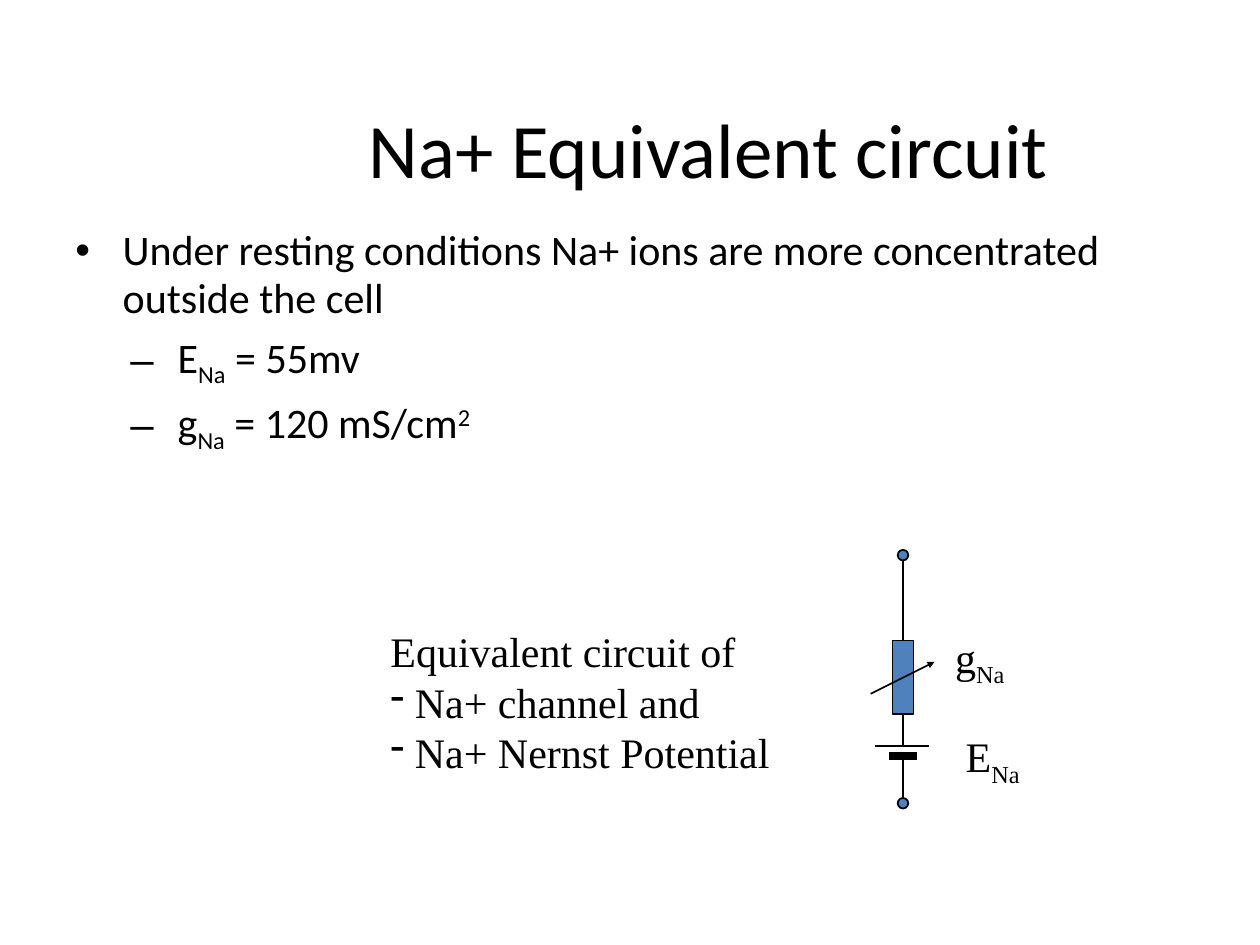
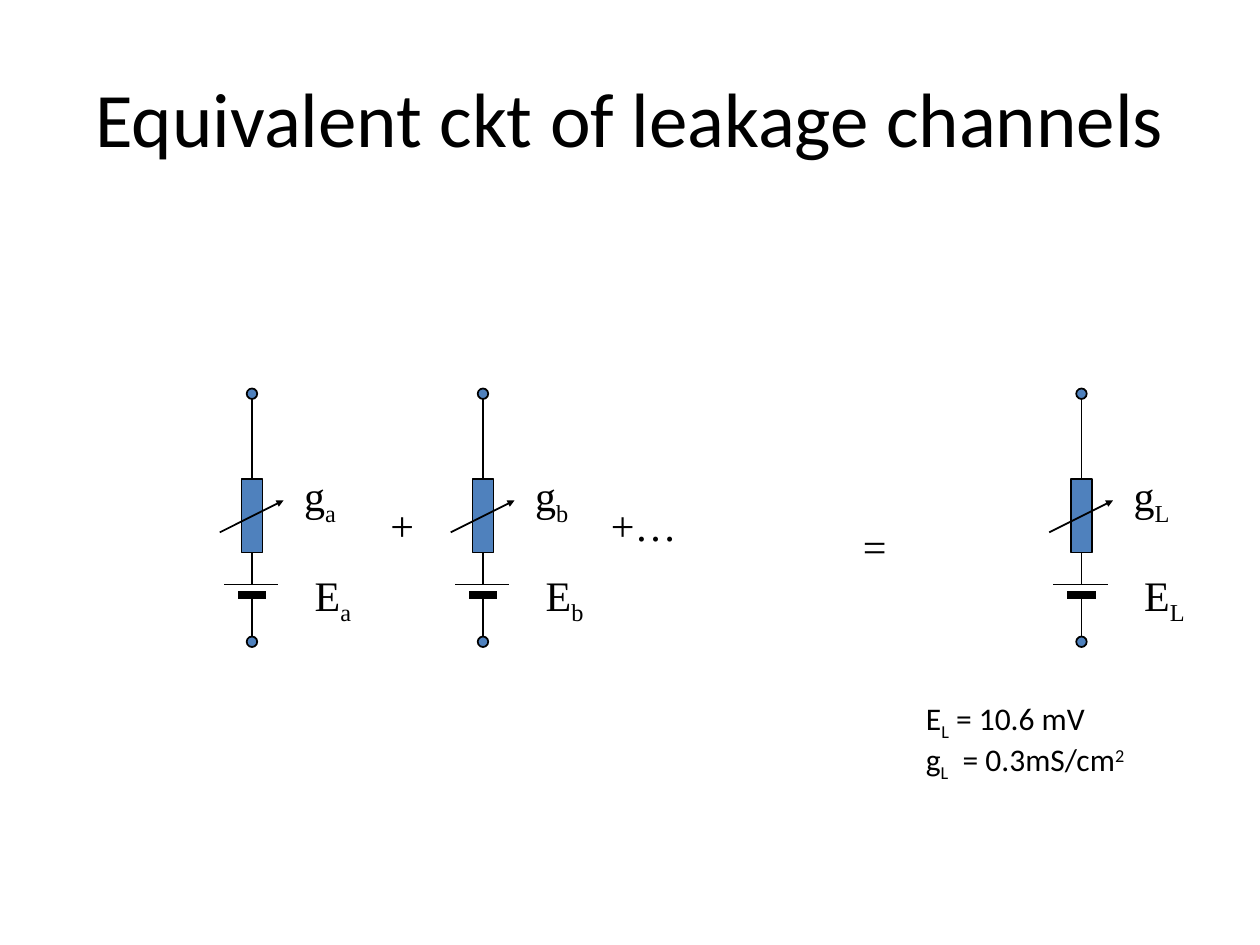
import lxml.etree
import pptx
import pptx.dml.color
import pptx.enum.shapes
import pptx.enum.text
import pptx.oxml.ns
import pptx.util

Pt = pptx.util.Pt
qn = pptx.oxml.ns.qn
color = pptx.dml.color.RGBColor.from_string
SubElement = lxml.etree.SubElement
Shape = pptx.enum.shapes.MSO_SHAPE
Align = pptx.enum.text.PP_ALIGN
Anchor = pptx.enum.text.MSO_ANCHOR
AutoSize = pptx.enum.text.MSO_AUTO_SIZE

BLACK = "000000"
BLUE = "4F81BD"
SANS = "Calibri"
SERIF = "Times New Roman"
SUB, SUPER = -25000, 30000


def write(shape, lines, size, font=SERIF, wrap=False, align=Align.LEFT, anchor=Anchor.TOP):
    frame = shape.text_frame
    frame.word_wrap = wrap
    frame.auto_size = AutoSize.NONE if wrap else AutoSize.SHAPE_TO_FIT_TEXT
    frame.vertical_anchor = anchor
    for index, pieces in enumerate(lines):
        paragraph = frame.add_paragraph() if index else frame.paragraphs[0]
        paragraph.alignment = align
        for text, baseline in pieces:
            run = paragraph.add_run()
            run.text = text
            run.font.size = Pt(size)
            run.font.name = font
            run.font.color.rgb = color(BLACK)
            if baseline:
                run._r.get_or_add_rPr().set("baseline", str(baseline))
    return frame.paragraphs


def add_circuit(slide, x, y, channel, label_width):
    shapes = slide.shapes.add_group_shape().shapes
    for kind, left, top, width, height in (
        (Shape.RECTANGLE, -6, 47.75, 12, 42),
        (Shape.OVAL, -3, -4, 6, 6),
        (Shape.OVAL, -3, 137.75, 6, 6),
    ):
        part = shapes.add_shape(kind, Pt(x + left), Pt(y + top), Pt(width), Pt(height))
        part.shadow.inherit = False
        part.fill.solid()
        part.fill.fore_color.rgb = color(BLUE)
        part.line.color.rgb = color(BLACK)
        part.line.width = Pt(1)

    for x1, y1, x2, y2, width, has_arrow in (
        (0, 2.5, 0, 47.5, 1, False),
        (-18, 78, 18, 60, 1, True),
        (0, 90, 0, 108, 1, False),
        (-15.5, 108, 14.5, 108, 1, False),
        (-6, 114, 6, 114, 4.5, False),
        (0, 115.5, 0, 137.25, 1, False),
    ):
        connector = shapes.add_connector(
            pptx.enum.shapes.MSO_CONNECTOR.STRAIGHT,
            Pt(x + x1), Pt(y + y1), Pt(x + x2), Pt(y + y2),
        )
        connector.line.color.rgb = color(BLACK)
        connector.line.width = Pt(width)
        properties = connector._element.spPr
        outline = properties.find(qn("a:ln"))
        outline.set("cap", "sq")
        if has_arrow:
            SubElement(outline, qn("a:tailEnd"), type="triangle", w="sm", len="sm")
        SubElement(properties, qn("a:effectLst"))

    for symbol, left, top, width in (
        ("E", 28.75, 95.75, label_width),
        ("g", 22.75, 39, label_width - 2.25),
    ):
        label = shapes.add_textbox(Pt(x + left), Pt(y + top), Pt(width), Pt(36))
        write(label, [[(symbol, 0), (channel, SUB)]], 24)


presentation = pptx.Presentation()
presentation.slide_width = Pt(720)
presentation.slide_height = Pt(540)

slides = []
for title, left, top, width in (
    ("Na+ Equivalent circuit", 108, 42, 594),
    ("Equivalent ckt of leakage channels", 36, 21.6, 648),
):
    slide = presentation.slides.add_slide(presentation.slide_layouts[6])
    title_box = slide.shapes.add_textbox(Pt(left), Pt(top), Pt(width), Pt(90))
    write(title_box, [[(title, 0)]], 44, SANS, True, Align.CENTER, Anchor.MIDDLE)
    slides.append(slide)
sodium_slide, leakage_slide = slides
sodium_slide.shapes[0].text_frame.paragraphs[0].line_spacing = 0.95

add_circuit(sodium_slide, 516, 318.25, "Na", 47.5)

caption = sodium_slide.shapes.add_textbox(Pt(216), Pt(354), Pt(231), Pt(93.6))
caption_paragraphs = write(
    caption,
    [[("Equivalent circuit of", 0)], [(" Na+ channel and", 0)], [(" Na+ Nernst Potential", 0)]],
    24,
)
for paragraph in caption_paragraphs[1:]:
    properties = paragraph._p.get_or_add_pPr()
    SubElement(properties, qn("a:buFontTx"))
    SubElement(properties, qn("a:buChar"), char="-")

body = sodium_slide.shapes.add_textbox(Pt(36), Pt(126.5), Pt(648), Pt(356.4))
body_paragraphs = write(
    body,
    [
        [("Under resting conditions Na+ ions are more concentrated outside the cell", 0)],
        [("E", 0), ("Na", SUB), (" = 55mv", 0)],
        [("g", 0), ("Na", SUB), (" = 120 mS/cm", 0), ("2", SUPER)],
    ],
    24, SANS, True,
)
body_paragraphs[0].line_spacing = 0.95
for paragraph, bullet, indent in zip(body_paragraphs, "•––", (27, 58.5, 58.5)):
    paragraph.space_before = Pt(4.6)
    properties = paragraph._p.get_or_add_pPr()
    properties.set("marL", str(Pt(indent)))
    properties.set("indent", str(Pt(-27)))
    SubElement(properties, qn("a:buFont"), typeface="Arial")
    SubElement(properties, qn("a:buChar"), char=bullet)

for x, channel, label_width in ((144, "a", 36.5), (276, "b", 37.5), (618, "L", 39)):
    add_circuit(leakage_slide, x, 226, channel, label_width)

for sign, left, top, width in (("+", 216, 282, 28), ("+…", 342, 282, 52.5), ("=", 486, 294, 28)):
    sign_box = leakage_slide.shapes.add_textbox(Pt(left), Pt(top), Pt(width), Pt(36.5))
    write(sign_box, [[(sign, 0)]], 24)

values = leakage_slide.shapes.add_textbox(Pt(522), Pt(396), Pt(173.5), Pt(63.5))
value_paragraphs = write(
    values,
    [
        [("E", 0), ("L", SUB), (" = 10.6 mV", 0)],
        [("g", 0), ("L", SUB), ("  = 0.3mS/cm", 0), ("2", SUPER)],
    ],
    18, SANS, True,
)
value_paragraphs[0].line_spacing = 0.95

presentation.save("out.pptx")
